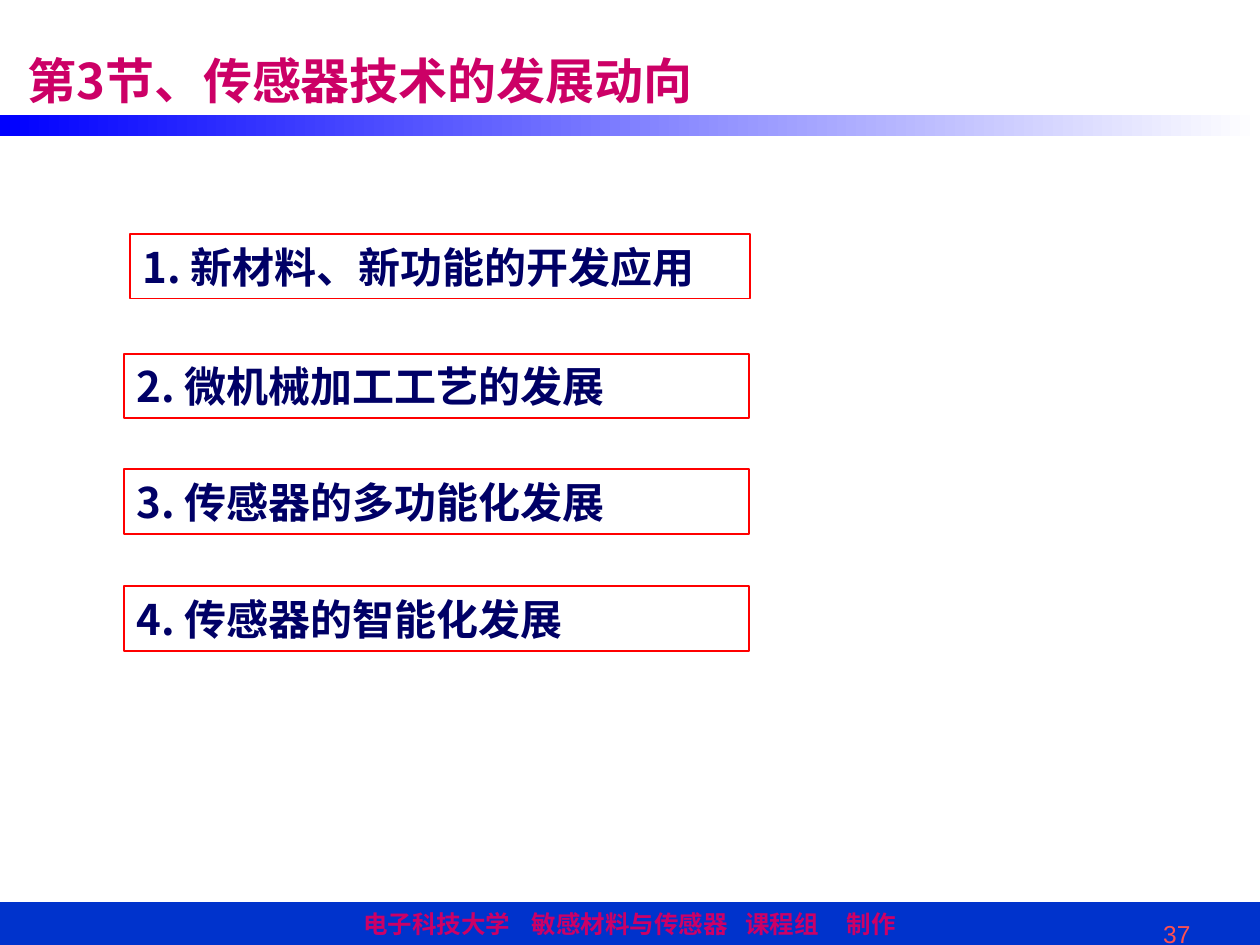
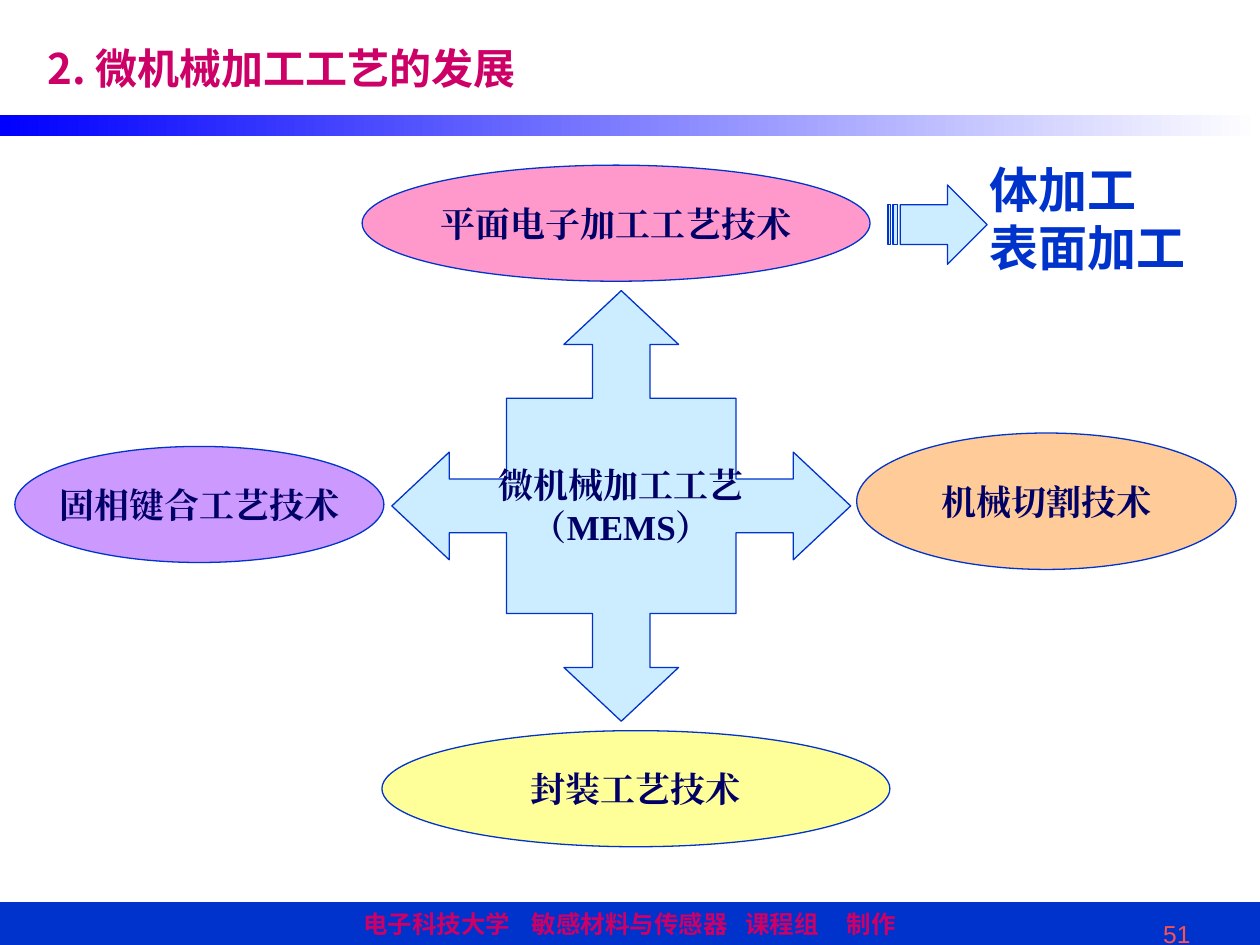
"""Build two slides on trends in sensor technology."""
from dataclasses import dataclass

from lxml import etree
from pptx import Presentation
from pptx.dml.color import RGBColor
from pptx.enum.shapes import MSO_SHAPE
from pptx.enum.text import MSO_ANCHOR, MSO_AUTO_SIZE, PP_ALIGN
from pptx.oxml.ns import qn
from pptx.presentation import Presentation as Deck
from pptx.shapes.autoshape import Shape
from pptx.slide import Slide
from pptx.util import Cm, Pt

RECT = MSO_SHAPE.RECTANGLE
OVAL = MSO_SHAPE.OVAL
ARROW = MSO_SHAPE.STRIPED_RIGHT_ARROW
TOP, MIDDLE = MSO_ANCHOR.TOP, MSO_ANCHOR.MIDDLE
LEFT, CENTER, RIGHT = PP_ALIGN.LEFT, PP_ALIGN.CENTER, PP_ALIGN.RIGHT
FIXED = MSO_AUTO_SIZE.NONE

BLUE = RGBColor(0x00, 0x33, 0xCC)
BRIGHT = RGBColor(0x00, 0x00, 0xFF)
WHITE = RGBColor(0xFF, 0xFF, 0xFF)
NAVY = RGBColor(0x00, 0x00, 0x66)
ROSE = RGBColor(0xCC, 0x00, 0x66)
CORAL = RGBColor(0xFF, 0x50, 0x50)
RED = RGBColor(0xFF, 0x00, 0x00)
SKY = RGBColor(0xCC, 0xEC, 0xFF)
PINK = RGBColor(0xFF, 0x99, 0xCC)
LILAC = RGBColor(0xCC, 0x99, 0xFF)
PEACH = RGBColor(0xFF, 0xCC, 0x99)
LEMON = RGBColor(0xFF, 0xFF, 0x99)

NOTO = "Noto Sans CJK SC"
TIMES = "Times New Roman"


@dataclass(frozen=True)
class Box:
    left: float
    top: float
    width: float
    height: float

    def place(self) -> tuple[Cm, Cm, Cm, Cm]:
        return Cm(self.left), Cm(self.top), Cm(self.width), Cm(self.height)


@dataclass(frozen=True)
class Style:
    size: float
    face: str
    color: RGBColor
    bold: bool = True
    align: PP_ALIGN = LEFT
    anchor: MSO_ANCHOR = MIDDLE
    wrap: bool = True
    pitch: float | Pt | None = None


@dataclass(frozen=True)
class Label:
    text: str
    box: Box
    fill: RGBColor | None = None


HEAD = Style(28, NOTO, ROSE, pitch=1.4)
SUBHEAD = Style(24, NOTO, ROSE)
TOPIC = Style(24, NOTO, NAVY)
NODE = Style(20, TIMES, NAVY, align=CENTER, wrap=False)
SIDE = Style(28, NOTO, BLUE, pitch=Pt(33))
CREDIT = Style(14, "Roboto", ROSE)
PAGE = Style(14, "Arial", CORAL, bold=False, align=RIGHT, anchor=TOP)

FOOTER = "电子科技大学\t敏感材料与传感器\t课程组\t制作"
STOPS = (3.4, 7.7, 9.75)

TOPICS = (
    Label("1. 新材料、新功能的开发应用", Box(2.62, 4.72, 12.5, 1.3)),
    Label("2. 微机械加工工艺的发展", Box(2.5, 7.13, 12.6, 1.3)),
    Label("3. 传感器的多功能化发展", Box(2.5, 9.46, 12.6, 1.3)),
    Label("4. 传感器的智能化发展", Box(2.5, 11.82, 12.6, 1.3)),
)
NODES = (
    Label("平面电子加工工艺技术", Box(7.3, 3.33, 10.24, 2.34), PINK),
    Label("固相键合工艺技术", Box(0.3, 9, 7.44, 2.34), LILAC),
    Label("机械切割技术", Box(17.27, 8.73, 7.65, 2.75), PEACH),
    Label("封装工艺技术", Box(7.7, 14.73, 10.24, 2.34), LEMON),
)
ARM = ((-4, -4), (-1, -4), (-1, -6), (-2, -6),
       (0, -8), (2, -6), (1, -6), (1, -4))


def write(shape: Shape, style: Style, *lines: str) -> None:
    """Fill a shape with one styled run per line."""
    frame = shape.text_frame
    frame.auto_size = FIXED
    frame.word_wrap = style.wrap
    frame.vertical_anchor = style.anchor
    for index, line in enumerate(lines):
        para = frame.add_paragraph() if index else frame.paragraphs[0]
        para.alignment = style.align
        para.space_before = Pt(0)
        if style.pitch:
            para.line_spacing = style.pitch
        run = para.add_run()
        run.text = line
        font = run.font
        font.size, font.bold = Pt(style.size), style.bold
        font.name = style.face
        font.color.rgb = style.color
        east = etree.SubElement(font._element, qn("a:ea"))
        east.set("typeface", style.face)


def paint(shape: Shape, fill: RGBColor | None,
          line: RGBColor = BLUE, width: float = 0.75) -> Shape:
    """Set the fill and outline of a shape."""
    shape.shadow.inherit = False
    if fill is None:
        shape.fill.background()
    else:
        shape.fill.solid()
        shape.fill.fore_color.rgb = fill
    shape.line.color.rgb = line
    shape.line.width = Pt(width)
    return shape


def add_text(slide: Slide, box: Box, style: Style, *lines: str) -> None:
    """Add a plain text box."""
    write(slide.shapes.add_textbox(*box.place()), style, *lines)


def add_foot(slide: Slide) -> None:
    """Draw the footer band with its tabbed credit."""
    band = paint(slide.shapes.add_shape(RECT, *Box(0, 18.2, 25.4, 0.86).place()), BLUE)
    band.text_frame.margin_left = Cm(7.32)
    props = band.text_frame.paragraphs[0]._p.get_or_add_pPr()
    tabs = etree.SubElement(props, qn("a:tabLst"))
    for stop in STOPS:
        etree.SubElement(tabs, qn("a:tab"), pos=str(int(Cm(stop))), algn="l")
    write(band, CREDIT, FOOTER)


def add_fade(slide: Slide) -> None:
    """Draw the fading rule below the title."""
    rule = slide.shapes.add_shape(RECT, *Box(0, 2.32, 25.4, 0.42).place())
    rule.shadow.inherit = False
    rule.line.fill.background()
    rule.fill.gradient()
    rule.fill.gradient_angle = 0
    for stop, place, color in zip(rule.fill.gradient_stops, (0, 1), (BRIGHT, WHITE)):
        stop.position = place
        stop.color.rgb = color


def add_slide(deck: Deck, title: str, box: Box, style: Style, page: int) -> Slide:
    """Start a slide with the shared frame and its title."""
    slide = deck.slides.add_slide(deck.slide_layouts[5])
    add_foot(slide)
    add_fade(slide)
    head = slide.shapes.title
    head.left, head.top, head.width, head.height = box.place()
    write(head, style, title)
    add_text(slide, Box(17.9, 18.4, 6.35, 0.66), PAGE, str(page))
    return slide


def add_cross(slide: Slide, box: Box, *lines: str) -> None:
    """Draw the four-way arrow by turning one arm on a 16 by 16 grid."""
    arm, points = ARM, []
    for _ in range(4):
        points += arm
        arm = tuple((-y, x) for x, y in arm)
    scale = Cm(box.width) / 16, Cm(box.height) / 16
    pen = slide.shapes.build_freeform(*points[0], scale=scale)
    pen.add_line_segments(points[1:], close=True)
    cross = pen.convert_to_shape(Cm(box.left + box.width / 2),
                                 Cm(box.top + box.height / 2))
    write(paint(cross, SKY), NODE, *lines)


def add_trends(deck: Deck) -> None:
    """Build the slide that lists the trends."""
    slide = add_slide(deck, "第3节、传感器技术的发展动向",
                      Box(0.3, 0.4, 17, 1.93), HEAD, 37)
    for topic in TOPICS:
        shape = slide.shapes.add_shape(RECT, *topic.box.place())
        write(paint(shape, None, RED, 1), TOPIC, topic.text)


def add_process(deck: Deck) -> None:
    """Build the slide on micromachining."""
    slide = add_slide(deck, "2. 微机械加工工艺的发展",
                      Box(0.7, 0.72, 11.1, 1.27), SUBHEAD, 51)
    for node in NODES:
        shape = slide.shapes.add_shape(OVAL, *node.box.place())
        write(paint(shape, node.fill), NODE, node.text)
    add_cross(slide, Box(7.9, 5.86, 9.25, 8.68), "微机械加工工艺", "（MEMS）")
    paint(slide.shapes.add_shape(ARROW, *Box(17.9, 3.73, 2, 1.6).place()), SKY)
    add_text(slide, Box(19.7, 3.08, 5.6, 2.64), SIDE, "体加工", "表面加工")


def main() -> None:
    """Build and save the deck."""
    deck = Presentation()
    deck.slide_width, deck.slide_height = Cm(25.4), Cm(19.05)
    add_trends(deck)
    add_process(deck)
    deck.save("out.pptx")


if __name__ == "__main__":
    main()
